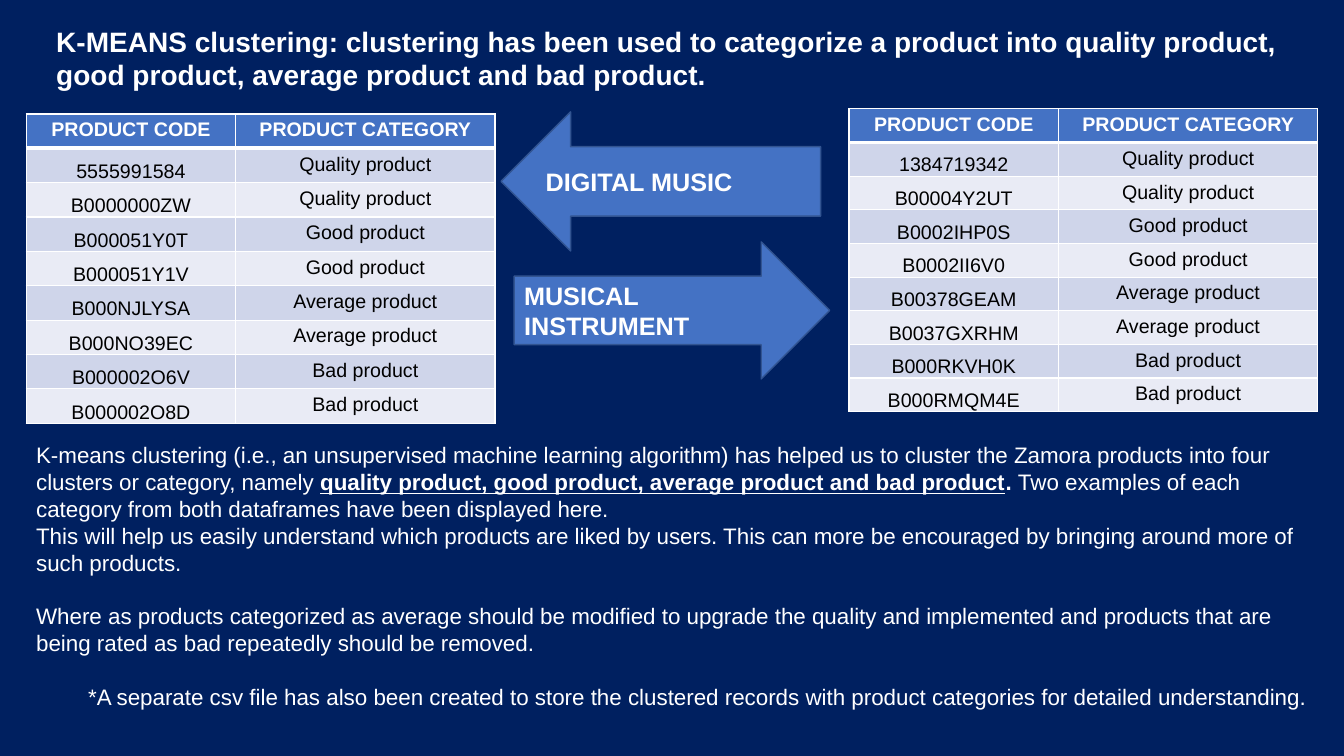
from lxml.etree import SubElement
from pptx import Presentation
from pptx.dml.color import RGBColor
from pptx.enum.shapes import MSO_SHAPE
from pptx.enum.text import MSO_ANCHOR, PP_ALIGN
from pptx.oxml.ns import qn
from pptx.util import Inches, Pt

# Content
TITLE = ("K-MEANS clustering: clustering has been used to categorize a product into "
         "quality product, good product, average product and bad product.")
HEADER = ("PRODUCT CODE", "PRODUCT CATEGORY")
GRADES = ("Quality", "Good", "Average", "Bad")
MUSIC_CODES = ("5555991584", "B0000000ZW", "B000051Y0T", "B000051Y1V",
               "B000NJLYSA", "B000NO39EC", "B000002O6V", "B000002O8D")
INSTRUMENT_CODES = ("1384719342", "B00004Y2UT", "B0002IHP0S", "B0002II6V0",
                    "B00378GEAM", "B0037GXRHM", "B000RKVH0K", "B000RMQM4E")
# Body paragraphs: runs of (text, bold, underline), space before, alignment
BODY = [
    ([("K-means clustering (i.e., an unsupervised machine learning algorithm) has helped us to "
       "cluster the Zamora products into four clusters or category, namely ", False, False),
      ("quality product, good product, average product and bad product", True, True),
      (". ", True, False),
      ("Two examples of each category from both dataframes have been displayed here.",
       False, False)], 0, PP_ALIGN.LEFT),
    ([("This will help us easily understand which products are liked by users. This can more be "
       "encouraged by bringing around more of such products.", False, False)], 0, PP_ALIGN.LEFT),
    ([("Where as products categorized as average should be modified to upgrade the quality and "
       "implemented and products that are being rated as bad repeatedly should be removed.",
       False, False)], 19, PP_ALIGN.LEFT),
    ([("*A separate csv file has also been created to store the clustered records with product "
       "categories for detailed understanding.", False, False)], 19, PP_ALIGN.RIGHT),
]

# Layout in percent of the slide's width and height
TITLE_BOX = (3.45, 2.53, 96.55, 10.27)
BODY_BOX = (1.95, 57.73, 96.02, 37.2)
COLUMNS = (15.6, 19.28)
TABLES = [(MUSIC_CODES, 1.95, 15.07, 4.55),  # codes, left, top, row height
          (INSTRUMENT_CODES, 63.17, 14.4, 4.44)]
ARROWS = [("DIGITAL MUSIC", MSO_SHAPE.LEFT_ARROW, (37.28, 14.8, 23.78, 18.4)),
          ("MUSICAL INSTRUMENT", MSO_SHAPE.RIGHT_ARROW, (38.26, 32, 23.48, 18.13))]
COLORS = {"navy": "002060", "blue": "4472C4", "outline": "325491", "white": "FFFFFF",
          "black": "000000", "band": "CFD5EA", "pale": "E9EBF5"}

prs = Presentation()
prs.slide_width, prs.slide_height = Inches(13.33), Inches(7.5)
s = prs.slides.add_slide(prs.slide_layouts[6])


def across(share):
    return round(prs.slide_width * share / 100)


def down(share):
    return round(prs.slide_height * share / 100)


def place(box):
    left, top, width, height = box
    return across(left), down(top), across(width), down(height)


def rgb(name):
    return RGBColor.from_string(COLORS[name])


def add_text(p, text, size=16, color="white", bold=False, underline=False,
             align=PP_ALIGN.LEFT, before=0):
    p.alignment, p.space_before = align, Pt(before)
    r = p.add_run()
    r.text = text
    f = r.font
    f.name, f.size, f.bold, f.underline = "Arial", Pt(size), bold, underline
    f.color.rgb = rgb(color)


def add_box(box):
    tf = s.shapes.add_textbox(*place(box)).text_frame
    tf.word_wrap = True
    return tf


def set_borders(cell, **widths):
    tc_pr = cell._tc.get_or_add_tcPr()
    for side in "LRTB":
        ln = SubElement(tc_pr, qn(f"a:ln{side}"), w=str(Pt(widths.get(side, 1))))
        fill = SubElement(ln, qn("a:solidFill"))
        SubElement(fill, qn("a:srgbClr"), val=COLORS["white"])


def add_product_table(codes, left, top, row_height):
    rows = [HEADER] + [(code, f"{GRADES[i // 2]} product") for i, code in enumerate(codes)]
    box = (left, top, sum(COLUMNS), row_height * len(rows))
    table = s.shapes.add_table(len(rows), len(COLUMNS), *place(box)).table
    table.horz_banding = False
    for column, width in zip(table.columns, COLUMNS):
        column.width = across(width)
    for i, row in enumerate(rows):
        table.rows[i].height = down(row_height)
        head = i == 0
        for j, text in enumerate(row):
            cell = table.cell(i, j)
            set_borders(cell, B=3 if head else 1, T=3 if i == 1 else 1)
            cell.fill.solid()
            cell.fill.fore_color.rgb = rgb("blue" if head else "band" if i % 2 else "pale")
            if j == 0 and not head:
                cell.vertical_anchor = MSO_ANCHOR.BOTTOM
                cell.margin_left = cell.margin_right = cell.margin_top = Inches(0.01)
                cell.margin_bottom = 0
            add_text(cell.text_frame.paragraphs[0], text, size=14, bold=head,
                     color="white" if head else "black", align=PP_ALIGN.CENTER)


# Background and title
s.background.fill.solid()
s.background.fill.fore_color.rgb = rgb("navy")
add_text(add_box(TITLE_BOX).paragraphs[0], TITLE, size=20, bold=True)

# Product tables
for product_table in TABLES:
    add_product_table(*product_table)

# Arrows from the labels to their tables
for label, kind, box in ARROWS:
    sp = s.shapes.add_shape(kind, *place(box))
    sp.shadow.inherit = False
    sp.fill.solid()
    sp.fill.fore_color.rgb = rgb("blue")
    sp.line.color.rgb = rgb("outline")
    sp.line.width = Pt(1)
    tf = sp.text_frame
    tf.word_wrap, tf.vertical_anchor = True, MSO_ANCHOR.MIDDLE
    add_text(tf.paragraphs[0], label, size=18, bold=True)

# Explanation
tf = add_box(BODY_BOX)
for i, (runs, before, align) in enumerate(BODY):
    p = tf.add_paragraph() if i else tf.paragraphs[0]
    for text, bold, underline in runs:
        add_text(p, text, bold=bold, underline=underline, before=before, align=align)

prs.save("out.pptx")
